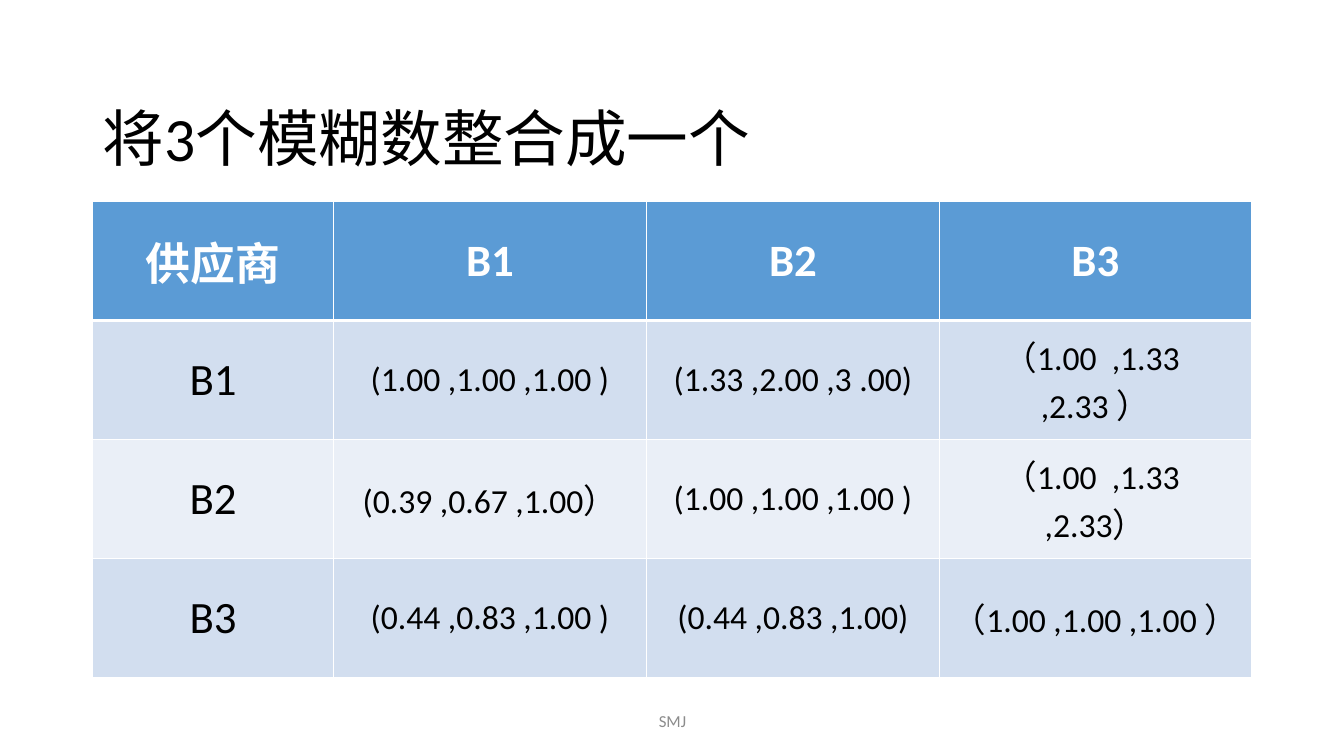
from lxml import etree
from pptx import Presentation
from pptx.dml.color import RGBColor
from pptx.enum.lang import MSO_LANGUAGE_ID
from pptx.enum.text import MSO_ANCHOR, PP_ALIGN
from pptx.oxml.ns import qn
from pptx.util import Inches, Pt

CENTER, LEFT = PP_ALIGN.CENTER, PP_ALIGN.LEFT
MIDDLE = MSO_ANCHOR.MIDDLE
CHINESE = MSO_LANGUAGE_ID.SIMPLIFIED_CHINESE

COLORS = {
    "text": "000000",
    "footer": "8C8C8C",
    "white": "FFFFFF",
    "header": "5B9BD5",
    "odd": "D2DEEF",
    "even": "EAEFF7",
}

COLUMN_WIDTHS = [2.39, 3.1, 2.91, 3.09]
ROW_HEIGHT = 1.18
FUZZY_MATRIX = [
    ["供应商", "B1", "B2", "B3"],
    ["B1", "(1.00 ,1.00 ,1.00 )", "(1.33 ,2.00 ,3 .00)", "（1.00  ,1.33  ,2.33 ）"],
    ["B2", "(0.39 ,0.67 ,1.00）", "(1.00 ,1.00 ,1.00 )", "（1.00  ,1.33  ,2.33）"],
    ["B3", "(0.44 ,0.83 ,1.00 )", "(0.44 ,0.83 ,1.00)", "（1.00 ,1.00 ,1.00 ）"],
]


class SlideBuilder:
    font_name = "Calibri"

    def __init__(self, slide):
        self.slide = slide

    def fill_text(self, frame, text, size, color, bold=False, align=CENTER, spacing=1.0):
        paragraph = frame.paragraphs[0]
        paragraph.alignment = align
        paragraph.line_spacing = spacing
        run = paragraph.add_run()
        run.text = text
        font_format = {
            "name": self.font_name,
            "size": Pt(size),
            "bold": bold,
            "language_id": CHINESE,
        }
        for attribute, value in font_format.items():
            setattr(run.font, attribute, value)
        run.font.color.rgb = RGBColor.from_string(COLORS[color])

    def text(self, box, text, size, color, **paragraph_format):
        frame = self.slide.shapes.add_textbox(*map(Inches, box)).text_frame
        frame.word_wrap = True
        frame.vertical_anchor = MIDDLE
        self.fill_text(frame, text, size, color, **paragraph_format)

    def borders(self, cell, top_width, bottom_width):
        properties = cell._tc.get_or_add_tcPr()
        widths = {"a:lnL": 1, "a:lnR": 1, "a:lnT": top_width, "a:lnB": bottom_width}
        for position, (side, width) in enumerate(widths.items()):
            line = etree.Element(qn(side), w=str(Pt(width)))
            fill = etree.SubElement(line, qn("a:solidFill"))
            etree.SubElement(fill, qn("a:srgbClr"), val=COLORS["white"])
            properties.insert(position, line)

    def table(self, left, top, rows, column_widths, row_height):
        table = self.slide.shapes.add_table(
            len(rows), len(column_widths), Inches(left), Inches(top),
            Inches(sum(column_widths)), Inches(row_height * len(rows)),
        ).table
        for column, width in zip(table.columns, column_widths):
            column.width = Inches(width)
        for r, values in enumerate(rows):
            table.rows[r].height = Inches(row_height)
            is_header = r == 0
            band = "header" if is_header else "odd" if r % 2 else "even"
            for c, value in enumerate(values):
                cell = table.cell(r, c)
                cell.vertical_anchor = MIDDLE
                cell.fill.solid()
                cell.fill.fore_color.rgb = RGBColor.from_string(COLORS[band])
                # Row and column labels are larger than the fuzzy numbers
                self.fill_text(
                    cell.text_frame, value,
                    size=32 if is_header or c == 0 else 24,
                    color="white" if is_header else "text",
                    bold=is_header,
                )
                # A thicker rule sets off the header
                self.borders(cell, top_width=3 if r == 1 else 1,
                             bottom_width=3 if is_header else 1)


def main():
    presentation = Presentation()
    presentation.slide_width = Inches(13.33)
    presentation.slide_height = Inches(7.5)
    slide = presentation.slides.add_slide(presentation.slide_layouts[6])
    builder = SlideBuilder(slide)

    # Title
    builder.text((0.92, 0.96, 11.5, 0.89), "将3个模糊数整合成一个", 44, "text",
                 align=LEFT, spacing=0.9)

    # Integrated fuzzy comparison matrix
    builder.table(0.92, 2, FUZZY_MATRIX, COLUMN_WIDTHS, ROW_HEIGHT)

    # Footer
    builder.text((4.42, 6.95, 4.5, 0.4), "SMJ", 12, "footer")

    presentation.save("out.pptx")


if __name__ == "__main__":
    main()
